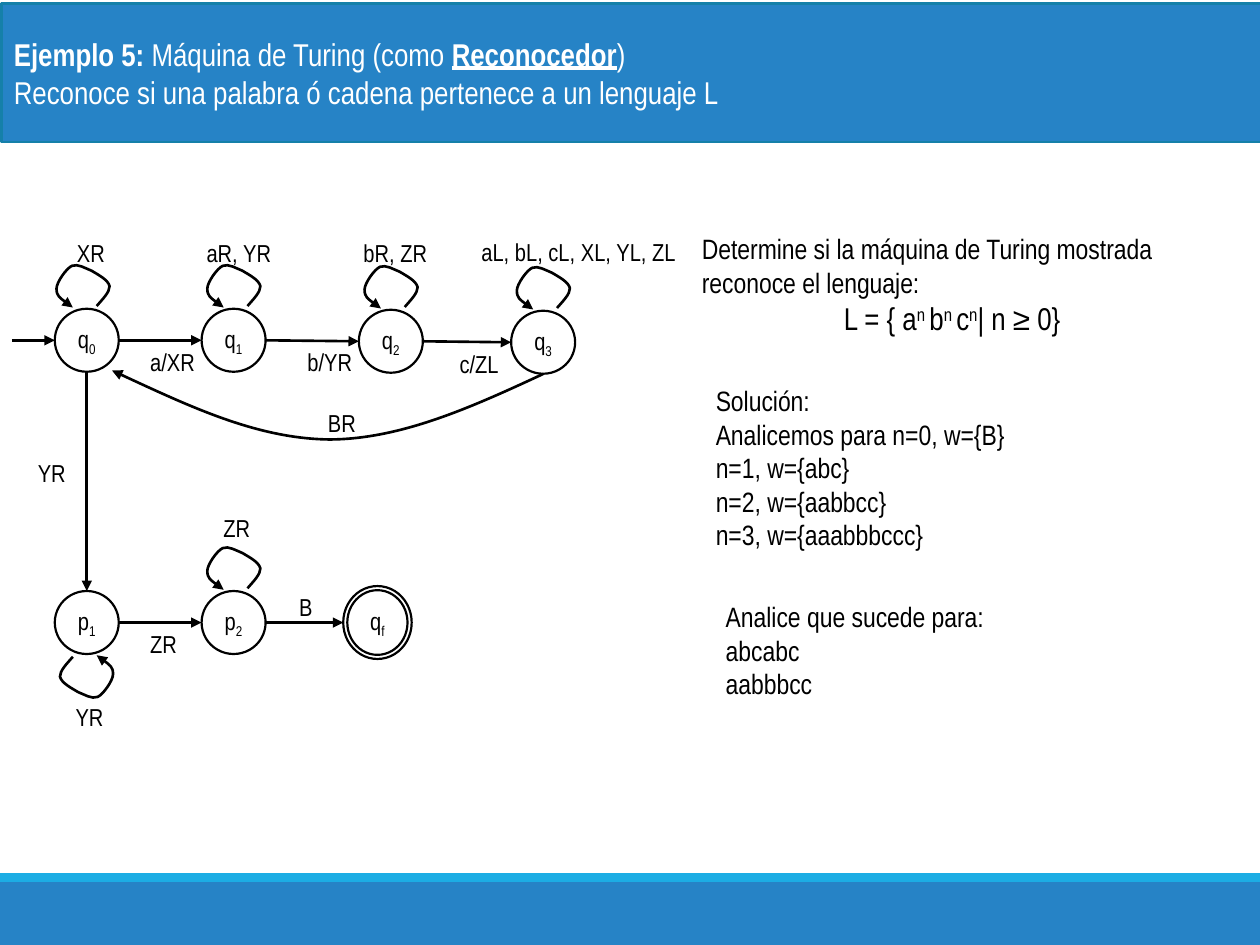
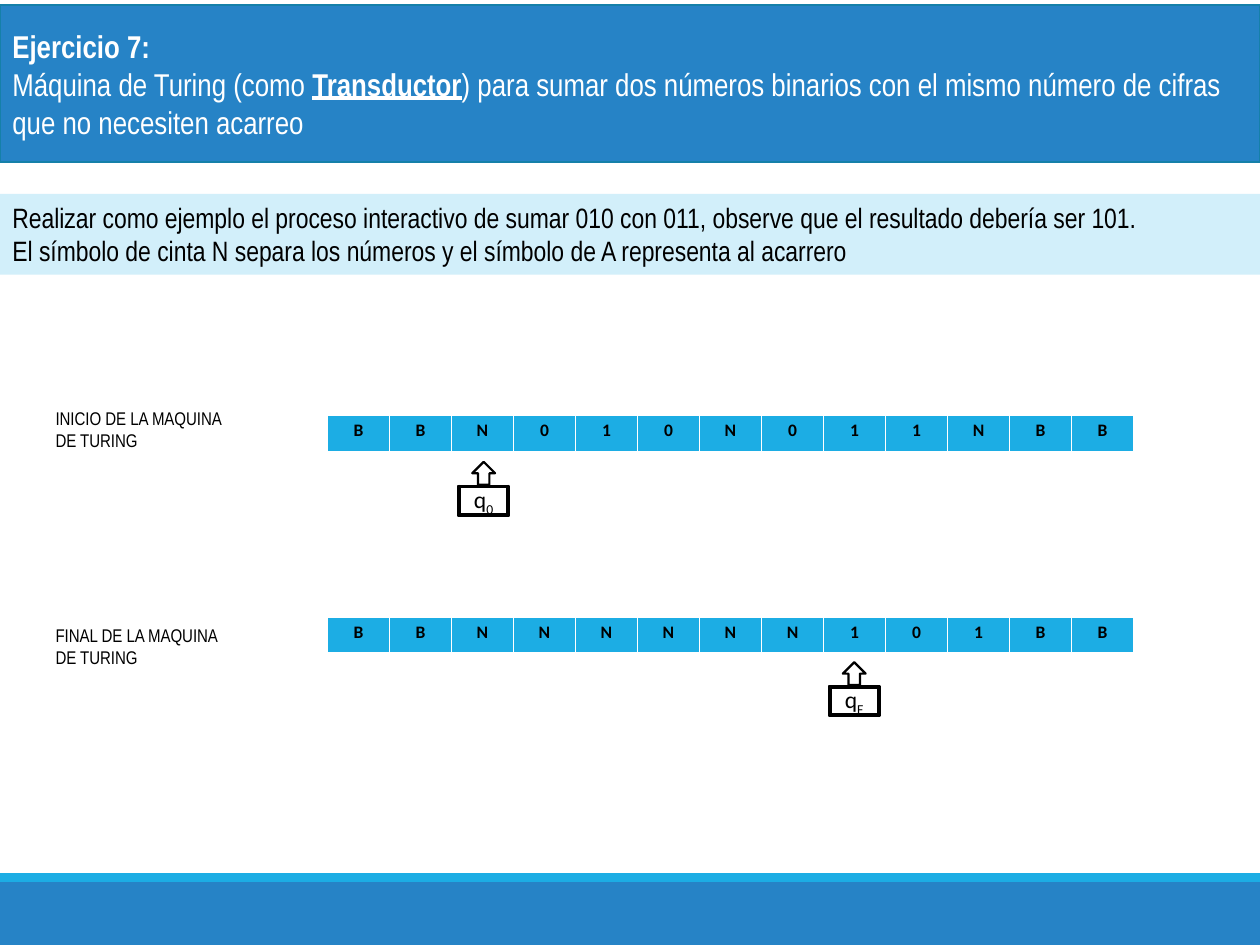
from dataclasses import dataclass
from typing import Any, NamedTuple

from lxml import etree
from pptx import Presentation
from pptx.dml.color import RGBColor
from pptx.enum.shapes import MSO_CONNECTOR, MSO_SHAPE
from pptx.enum.text import MSO_ANCHOR, PP_ALIGN
from pptx.oxml.ns import qn
from pptx.util import Cm, Pt

RECT = MSO_SHAPE.RECTANGLE
OVAL = MSO_SHAPE.OVAL
DONUT = MSO_SHAPE.DONUT
BEVEL = MSO_SHAPE.BEVEL
ARROW = MSO_SHAPE.DOWN_ARROW
LINE = MSO_CONNECTOR.STRAIGHT
LEFT = PP_ALIGN.LEFT
MID = PP_ALIGN.CENTER
TOP = MSO_ANCHOR.TOP
CORE = MSO_ANCHOR.MIDDLE


@dataclass(frozen=True)
class Theme:
    blue: str = "2683C6"
    sky: str = "1CADE4"
    pale: str = "D2EFFA"
    edge: str = "1580A9"
    ink: str = "000000"
    white: str = "FFFFFF"
    main: str = "Arial Narrow"
    alt: str = "Calibri"
    title: float = 18
    body: float = 16
    label: float = 14
    head: float = 13.5
    note: float = 10.5
    cell: float = 10
    thin: float = 1.25
    thick: float = 1.5


THEME = Theme()


class Box(NamedTuple):
    x: float
    y: float
    w: float
    h: float


class Bit(NamedTuple):
    text: str
    bold: bool = False
    under: bool = False
    base: int = 0


class Para(NamedTuple):
    bits: list[Bit]
    size: float = THEME.body
    align: Any = LEFT


class State(NamedTuple):
    name: str
    sub: str
    x: float
    y: float
    w: float = 1.29
    h: float = 1.27
    kind: Any = OVAL


class Label(NamedTuple):
    text: str
    x: float
    y: float
    w: float = 1.07


class Tape(NamedTuple):
    note: str
    note_y: float
    cells: str
    y: float
    name: str
    head_x: float
    head_y: float


Q0 = State("q", "0", 1.75, 6.86)
Q1 = State("q", "1", 4.71, 6.86)
Q2 = State("q", "2", 7.88, 6.88)
Q3 = State("q", "3", 10.95, 6.9)
P1 = State("p", "1", 1.75, 12.55)
P2 = State("p", "2", 4.71, 12.55)
QF = State("q", "f", 7.61, 12.55, 1.38, 1.47, DONUT)
STATES = [Q0, Q1, Q2, Q3, P1, P2, QF]
STEPS = [(Q0, Q1), (Q1, Q2), (Q2, Q3), (P1, P2), (P2, QF)]
LOOPS = [(Q0, 0, 1), (Q1, .08, 1), (Q2, .08, 1), (Q3, .08, 1), (P2, .08, 1), (P1, -.08, -1)]
LOOP = [(.2, -.69), (.33, -.84), (.46, -.97), (.46, -1.09), (.43, -1.22), (.23, -1.32),
        (.1, -1.4), (-.03, -1.45), (-.18, -1.55), (-.3, -1.5), (-.41, -1.45),
        (-.61, -1.17), (-.61, -1.04), (-.61, -.89), (-.46, -.79), (-.28, -.66)]
BACK = [(10.95, 7.54), (9.53, 8.2), (8.08, 8.86), (6.63, 8.86),
        (5.18, 8.84), (3.73, 8.15), (2.26, 7.47)]
LABELS = [
    Label("XR", 1.3, 4.67), Label("aR, YR", 3.9, 4.67, 1.83),
    Label("bR, ZR", 7.07, 4.67, 1.8), Label("aL, bL, cL, XL, YL, ZL", 9.43, 4.65, 4.47),
    Label("a/XR", 2.77, 6.87, 1.42), Label("b/YR", 5.94, 6.88, 1.42),
    Label("c/ZL", 9, 6.91, 1.32), Label("BR", 6.36, 8.1), Label("YR", .51, 9.1),
    Label("YR", 1.27, 14.02), Label("ZR", 2.76, 12.55), Label("ZR", 4.24, 10.21),
    Label("B", 5.77, 11.81, .79),
]
TAPES = [
    Tape("INICIO DE LA MAQUINA DE TURING", 8.08, "BBN010N011NBB", 8.37, "0", 9.24, 9.31),
    Tape("FINAL DE LA MAQUINA DE TURING", 12.45, "BBNNNNNN101BB", 12.44, "F", 16.71, 13.35),
]


def tint(code: str) -> RGBColor:
    return RGBColor.from_string(code)


def apply(item: Any, vals: dict[str, Any]) -> None:
    for key, val in vals.items():
        setattr(item, key, val)


def lines(*texts: str, size: float = THEME.body) -> list[Para]:
    return [Para([Bit(text)], size) for text in texts]


def write(frame: Any, paras: list[Para], color: str = THEME.ink, font: str = THEME.main) -> None:
    for i, item in enumerate(paras):
        para = frame.paragraphs[0] if i == 0 else frame.add_paragraph()
        para.alignment = item.align
        for bit in item.bits:
            run = para.add_run()
            run.text = bit.text
            apply(run.font, {"name": font, "size": Pt(item.size),
                             "bold": bit.bold, "underline": bit.under})
            run.font.color.rgb = tint(color)
            if bit.base:
                run.font._element.set("baseline", str(bit.base * 1000))


def paint(shape: Any, fill: str = "", edge: str = "", width: float = THEME.thin) -> None:
    shape.shadow.inherit = False
    if fill:
        shape.fill.solid()
        shape.fill.fore_color.rgb = tint(fill)
    else:
        shape.fill.background()
    if edge:
        shape.line.color.rgb = tint(edge)
        shape.line.width = Pt(width)
    else:
        shape.line.fill.background()


def draw(slide: Any, kind: Any, box: Box, fill: str = "", edge: str = "") -> Any:
    shape = slide.shapes.add_shape(kind, *map(Cm, box))
    paint(shape, fill, edge)
    return shape


def place(slide: Any, box: Box, paras: list[Para], wrap: bool = True) -> None:
    frame = slide.shapes.add_textbox(*map(Cm, box)).text_frame
    frame.word_wrap = wrap
    write(frame, paras)


def name_tag(shape: Any, name: str, sub: str, size: float, font: str) -> None:
    apply(shape.text_frame, {"word_wrap": False, "vertical_anchor": CORE, "margin_left": 0,
                             "margin_right": 0, "margin_top": 0, "margin_bottom": 0})
    write(shape.text_frame, [Para([Bit(name), Bit(sub, base=-25)], size, MID)], font=font)


def tip(shape: Any) -> None:
    etree.SubElement(shape.line._get_or_add_ln(), qn("a:tailEnd"), type="triangle")


def link(slide: Any, x1: float, y1: float, x2: float, y2: float) -> None:
    wire = slide.shapes.add_connector(LINE, *map(Cm, (x1, y1, x2, y2)))
    wire.line.color.rgb = tint(THEME.ink)
    wire.line.width = Pt(THEME.thick)
    tip(wire)
    etree.SubElement(wire._element.spPr, qn("a:effectLst"))


def curve(slide: Any, knots: list[tuple[float, float]]) -> None:
    dots = [(Cm(x), Cm(y)) for x, y in knots]
    form = slide.shapes.build_freeform(*dots[0])
    form.add_line_segments(dots[3::3], close=False)
    shape = form.convert_to_shape()
    for i, part in enumerate(list(shape._element.iter(qn("a:lnTo")))):
        part.tag = qn("a:cubicBezTo")
        for at, (x, y) in enumerate(dots[3 * i + 1:3 * i + 3]):
            part.insert(at, etree.Element(qn("a:pt"), x=str(x - shape.left),
                                          y=str(y - shape.top)))
    paint(shape, edge=THEME.ink, width=THEME.thick)
    tip(shape)


def start(deck: Any) -> Any:
    slide = deck.slides.add_slide(deck.slide_layouts[6])
    draw(slide, RECT, Box(0, 17.78, 25.4, 1.27), THEME.blue)
    draw(slide, RECT, Box(0, 17.6, 25.4, .18), THEME.sky)
    return slide


def banner(slide: Any, box: Box, rows: list[list[Bit]]) -> None:
    frame = draw(slide, RECT, box, THEME.blue, THEME.edge).text_frame
    apply(frame, {"word_wrap": True, "vertical_anchor": CORE})
    write(frame, [Para(row, THEME.title) for row in rows], THEME.white)


def border(cell: Any) -> None:
    props = cell._tc.get_or_add_tcPr()
    for side, width in {"L": 1, "R": 1, "T": 1, "B": 3}.items():
        edge = etree.SubElement(props, qn(f"a:ln{side}"), w=str(Pt(width)))
        fill = etree.SubElement(edge, qn("a:solidFill"))
        etree.SubElement(fill, qn("a:srgbClr"), val=THEME.white)


def tape_row(slide: Any, tape: Tape) -> None:
    place(slide, Box(.87, tape.note_y, 3.89, 1.14), lines(tape.note, size=THEME.note))
    count = len(tape.cells)
    box = Box(6.6, tape.y, 1.25 * count, .76)
    table = slide.shapes.add_table(1, count, *map(Cm, box)).table
    for i, sign in enumerate(tape.cells):
        table.columns[i].width = Cm(1.25)
        cell = table.cell(0, i)
        border(cell)
        cell.fill.solid()
        cell.fill.fore_color.rgb = tint(THEME.sky)
        apply(cell, {"margin_left": Cm(.18), "margin_right": Cm(.18),
                     "margin_top": Cm(.1), "margin_bottom": Cm(.1)})
        write(cell.text_frame, [Para([Bit(sign, True)], THEME.cell, MID)], font=THEME.alt)
    head = draw(slide, BEVEL, Box(tape.head_x, tape.head_y + .48, 1.02, .61), edge=THEME.ink)
    head.adjustments[0] = .06
    name_tag(head, "q", tape.name, THEME.head, THEME.alt)
    mark = draw(slide, ARROW, Box(tape.head_x + .28, tape.head_y, .46, .46), edge=THEME.ink)
    mark.rotation = 180


def machine(slide: Any) -> None:
    for state in STATES:
        box = Box(state.x - state.w / 2, state.y - state.h / 2, state.w, state.h)
        shape = draw(slide, state.kind, box, edge=THEME.ink)
        if state.kind == DONUT:
            shape.adjustments[0] = .06
        name_tag(shape, state.name, state.sub, THEME.label, THEME.main)
    link(slide, .24, Q0.y, Q0.x - Q0.w / 2, Q0.y)
    link(slide, Q0.x, Q0.y + Q0.h / 2, P1.x, P1.y - P1.h / 2)
    for a, b in STEPS:
        link(slide, a.x + a.w / 2, a.y, b.x - b.w / 2, b.y)
    for state, shift, sign in LOOPS:
        curve(slide, [(state.x + shift + sign * x, state.y + sign * y) for x, y in LOOP])
    curve(slide, BACK)
    for label in LABELS:
        place(slide, Box(label.x, label.y, label.w, .86),
              [Para([Bit(label.text)], THEME.label, MID)], False)


def main() -> None:
    deck = Presentation()
    apply(deck, {"slide_width": Cm(25.4), "slide_height": Cm(19.05)})

    slide = start(deck)
    machine(slide)
    rule = [Bit("L = { a"), Bit("n ", base=30), Bit("b"), Bit("n ", base=30),
            Bit("c"), Bit("n", base=30), Bit("| n ≥ 0}")]
    place(slide, Box(13.9, 4.55, 10.59, 2.39),
          lines("Determine si la máquina de Turing mostrada reconoce el lenguaje:")
          + [Para(rule, THEME.title, MID)])
    place(slide, Box(14.18, 7.61, 6.4, 3.68),
          lines("Solución:", "Analicemos para n=0, w={B}", "n=1, w={abc}",
                "n=2, w={aabbcc}", "n=3, w={aaabbbccc}"), False)
    place(slide, Box(14.38, 11.96, 9.8, 2.31),
          lines("Analice que sucede para:", "abcabc", "aabbbcc"))
    banner(slide, Box(.03, .07, 25.4, 2.79), [
        [Bit("Ejemplo 5:", True), Bit(" Máquina de Turing (como "),
         Bit("Reconocedor", True, True), Bit(")")],
        [Bit("Reconoce si una palabra ó cadena pertenece a un lenguaje L")]])

    slide = start(deck)
    frame = draw(slide, RECT, Box(0, 3.91, 25.4, 1.63), THEME.pale).text_frame
    apply(frame, {"word_wrap": True, "vertical_anchor": TOP})
    write(frame, lines(
        "Realizar como ejemplo el proceso interactivo de sumar 010 con 011, "
        "observe que el resultado debería ser 101.",
        "El símbolo de cinta N separa los números y el símbolo de A representa al acarrero"))
    for tape in TAPES:
        tape_row(slide, tape)
    banner(slide, Box(0, .11, 25.4, 3.16), [
        [Bit("Ejercicio 7:", True)],
        [Bit("Máquina de Turing (como "), Bit("Transductor", True, True),
         Bit(") para sumar dos números binarios con el mismo número de cifras "
             "que no necesiten acarreo")]])

    deck.save("out.pptx")


if __name__ == "__main__":
    main()
